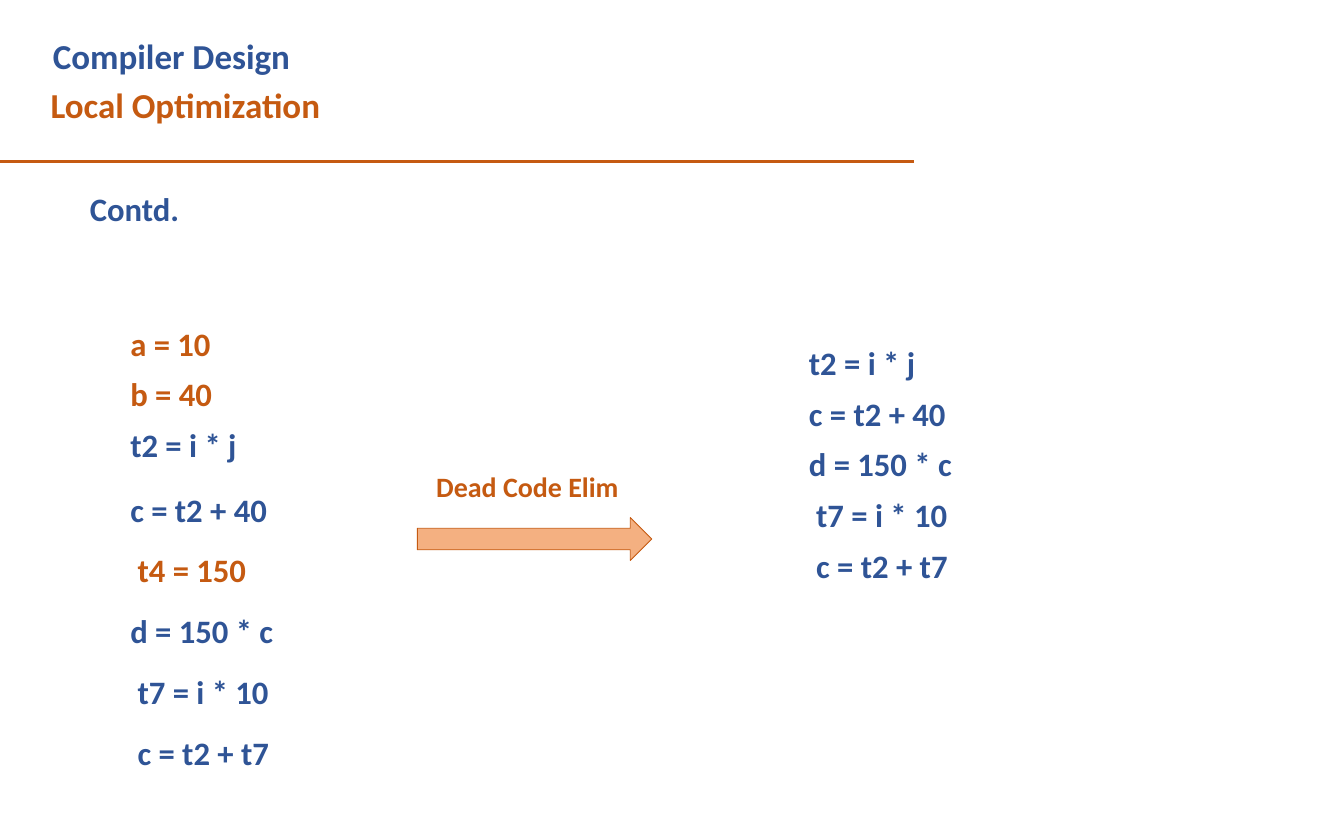
from pptx import Presentation
from pptx.dml.color import RGBColor
from pptx.enum.shapes import MSO_CONNECTOR, MSO_SHAPE
from pptx.enum.text import MSO_ANCHOR, MSO_AUTO_SIZE, PP_ALIGN
from pptx.oxml.ns import qn
from pptx.util import Cm, Pt

BLUE = RGBColor(0x2F, 0x54, 0x96)
ORANGE = RGBColor(0xC5, 0x5A, 0x11)
PEACH = RGBColor(0xF4, 0xB0, 0x81)
STRAIGHT = MSO_CONNECTOR.STRAIGHT
RIGHT_ARROW = MSO_SHAPE.RIGHT_ARROW
TOP = MSO_ANCHOR.TOP
NO_FIT = MSO_AUTO_SIZE.NONE
LEFT = PP_ALIGN.LEFT
TWO_CONTENT = 3
MARGIN = 0.03
STEP = 0.25


class SlideBuilder:
    font = "Calibri"

    def __init__(self, prs):
        self.s = prs.slides.add_slide(prs.slide_layouts[TWO_CONTENT])

    def fill_text(self, sp, box, lines, size, inset=0.03):
        sp.left, sp.top, sp.width, sp.height = (Cm(v) for v in box)
        tf = sp.text_frame
        tf.word_wrap = True
        tf.auto_size = NO_FIT
        tf.vertical_anchor = TOP
        tf.margin_left = tf.margin_right = tf.margin_bottom = 0
        tf.margin_top = Cm(inset)
        for i, (text, color, margin, spacing, before) in enumerate(lines):
            p = tf.paragraphs[0] if i == 0 else tf.add_paragraph()
            pPr = p._p.get_or_add_pPr()
            pPr.set("marL", str(Cm(margin)))
            pPr.set("indent", "0")
            pPr.append(pPr.makeelement(qn("a:buNone"), {}))
            p.alignment = LEFT
            p.line_spacing = spacing
            p.space_before = Pt(before)
            p.space_after = Pt(0)
            r = p.add_run()
            r.text = text
            r.font.name = self.font
            r.font.size = Pt(size)
            r.font.bold = True
            r.font.color.rgb = color

    def title(self, box, lines):
        self.fill_text(self.s.shapes.title, box, lines, 30)

    def code(self, idx, box, lines):
        self.fill_text(self.s.placeholders[idx], box, lines, 28, 0.38)

    def label(self, box, text, color, size):
        sp = self.s.shapes.add_textbox(*(Cm(v) for v in box))
        self.fill_text(sp, box, [(text, color, MARGIN, 1.0, 0)], size)

    def rule(self, x1, x2, y, color, width):
        line = self.s.shapes.add_connector(STRAIGHT, Cm(x1), Cm(y), Cm(x2), Cm(y))
        line.line.color.rgb = color
        line.line.width = Pt(width)
        spPr = line._element.spPr
        spPr.append(spPr.makeelement(qn("a:effectLst"), {}))

    def arrow(self, box, fill, outline):
        sp = self.s.shapes.add_shape(RIGHT_ARROW, *(Cm(v) for v in box))
        sp.shadow.inherit = False
        sp.fill.solid()
        sp.fill.fore_color.rgb = fill
        sp.line.color.rgb = outline
        sp.line.width = Pt(0.75)


def main():
    prs = Presentation()
    prs.slide_width, prs.slide_height = Cm(40.64), Cm(25.4)
    b = SlideBuilder(prs)

    b.title((1.5, 0.79, 8.4, 3.02), [
        ("Compiler Design", BLUE, 0.1, 1.17, 0),
        ("Local Optimization", ORANGE, MARGIN, 1.17, 0),
    ])
    b.rule(0, 27.64, 4.88, ORANGE, 3)
    b.label((2.69, 5.69, 3.2, 1.24), "Contd.", BLUE, 28)

    b.code(1, (3.91, 9.4, 4.8, 14), [
        ("a = 10", ORANGE, MARGIN, 1.0, 0),
        ("b = 40", ORANGE, MARGIN, 1.0, 9.9),
        ("t2 = i * j", BLUE, MARGIN, 1.0, 9.9),
        ("c = t2 + 40", BLUE, MARGIN, 1.55, 3.1),
        ("t4 = 150", ORANGE, STEP, 1.55, 0),
        ("d = 150 * c", BLUE, MARGIN, 1.55, 0),
        ("t7 = i * 10", BLUE, STEP, 1.55, 0),
        ("c = t2 + t7", BLUE, STEP, 1.55, 0),
    ])
    b.code(2, (24.43, 9.98, 4.8, 7.75), [
        ("t2 = i * j", BLUE, MARGIN, 1.0, 0),
        ("c = t2 + 40", BLUE, MARGIN, 1.0, 9.9),
        ("d = 150 * c", BLUE, MARGIN, 1.0, 9.9),
        ("t7 = i * 10", BLUE, STEP, 1.0, 9.9),
        ("c = t2 + t7", BLUE, STEP, 1.0, 9.9),
    ])

    b.arrow((12.62, 15.65, 7.09, 1.3), PEACH, ORANGE)
    b.label((13.16, 14.17, 6, 1.09), "Dead Code Elim", ORANGE, 24)
    prs.save("out.pptx")


if __name__ == "__main__":
    main()
